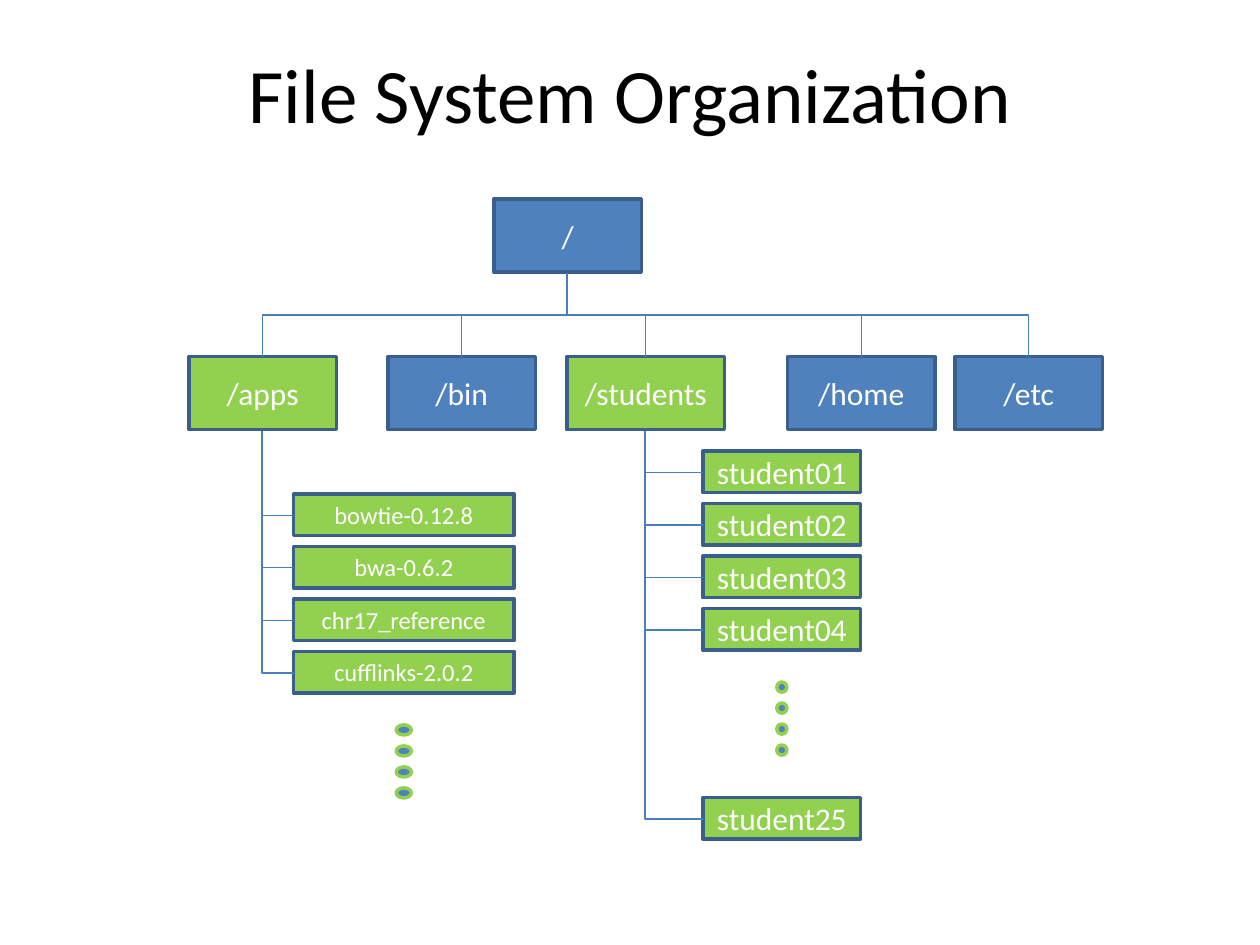
import pptx
import pptx.util
import pptx.dml.color
import pptx.enum.shapes
import pptx.enum.text
import pptx.oxml
import pptx.oxml.ns

Inches, Pt = pptx.util.Inches, pptx.util.Pt
rgb = pptx.dml.color.RGBColor.from_string
RECT = pptx.enum.shapes.MSO_SHAPE.RECTANGLE
OVAL = pptx.enum.shapes.MSO_SHAPE.OVAL
CENTER = pptx.enum.text.PP_ALIGN.CENTER
MIDDLE = pptx.enum.text.MSO_ANCHOR.MIDDLE
BLUE, GREEN, EDGE, WIRE = "4F81BD", "92D050", "3A5F8C", "4B7EBC"

prs = pptx.Presentation()
prs.slide_width, prs.slide_height = Inches(10), Inches(7.5)
s = prs.slides.add_slide(prs.slide_layouts[6])


def add_node(shapes, kind, x, y, w, h, fill, line, text="", size=18):
    sp = shapes.add_shape(kind, Inches(x), Inches(y), Inches(w), Inches(h))
    sp.shadow.inherit = False
    sp.fill.solid()
    sp.fill.fore_color.rgb = rgb(fill)
    sp.line.color.rgb = rgb(line)
    sp.line.width = Pt(2)
    if text:
        tf = sp.text_frame
        tf.vertical_anchor = MIDDLE
        p = tf.paragraphs[0]
        p.alignment = CENTER
        r = p.add_run()
        r.text = text
        r.font.name, r.font.size = "Calibri", Pt(size)
        r.font.color.rgb = rgb("FFFFFF")


def add_elbow(x1, y1, x2, y2, preset):
    # Leaves the parent downwards: a turned connector about the same centre
    w, h = y2 - y1, abs(x2 - x1)
    left, top = (x1 + x2 - w) / 2, (y1 + y2 - h) / 2
    c = s.shapes.add_connector(pptx.enum.shapes.MSO_CONNECTOR.ELBOW, Inches(left),
                               Inches(top), Inches(left + w), Inches(top + h))
    c.line.color.rgb = rgb(WIRE)
    c.line.width = Pt(0.75)
    props = c._element.spPr
    props.append(pptx.oxml.parse_xml(
        "<a:effectLst %s/>" % pptx.oxml.ns.nsdecls("a")))
    props.find(pptx.oxml.ns.qn("a:prstGeom")).set("prst", preset)
    xfrm = props.find(pptx.oxml.ns.qn("a:xfrm"))
    if x2 < x1:
        xfrm.set("rot", str(90 * 60000))
    else:
        xfrm.set("rot", str(270 * 60000))
        xfrm.set("flipH", "1")


# Title
sp = s.shapes.add_textbox(Inches(0.5), Inches(0.3), Inches(9), Inches(0.87))
tf = sp.text_frame
tf.word_wrap = True
tf.vertical_anchor = MIDDLE
p = tf.paragraphs[0]
p.alignment = CENTER
r = p.add_run()
r.text = "File System Organization"
r.font.name, r.font.size = "Calibri", Pt(44)
r.font.color.rgb = rgb("000000")

# Root and top-level directories
add_node(s.shapes, RECT, 3.92, 1.58, 1.17, 0.58, BLUE, EDGE, "/")
directories = [
    ("/apps", 1.5, 1.17, GREEN),
    ("/bin", 3.08, 1.17, BLUE),
    ("/students", 4.5, 1.25, GREEN),
    ("/home", 6.25, 1.17, BLUE),
    ("/etc", 7.58, 1.17, BLUE),
]
for name, x, w, fill in directories:
    add_node(s.shapes, RECT, x, 2.83, w, 0.58, fill, EDGE, name)
    add_elbow(4.5, 2.17, x + w / 2, 2.83, "bentConnector3")

# Subdirectories: parent centre, left, top, width, text size, dot width, names, last
students = ["student01", "student02", "student03", "student04"]
apps = ["bowtie-0.12.8", "bwa-0.6.2", "chr17_reference", "cufflinks-2.0.2"]
branches = [
    (5.12, 5.58, 3.58, 1.25, 18, 0.08, students, "student25"),
    (2.08, 2.33, 3.92, 1.75, 14, 0.12, apps, None),
]
for parent, x, y, w, size, dot, names, last in branches:
    group = s.shapes.add_group_shape().shapes
    rows = [(name, y + i * 5 / 12) for i, name in enumerate(names)]
    if last:
        rows.append((last, y + 2.75))
    for name, top in rows:
        add_node(group, RECT, x, top, w, 0.33, GREEN, EDGE, name, size)
        add_elbow(parent, 3.42, x, top + 0.17, "bentConnector2")
    # Dots for the entries left out
    for i in range(4):
        add_node(group, OVAL, x + (w - dot) / 2, y + (11 + i) / 6, dot, 0.08,
                 BLUE, GREEN)

prs.save("out.pptx")
